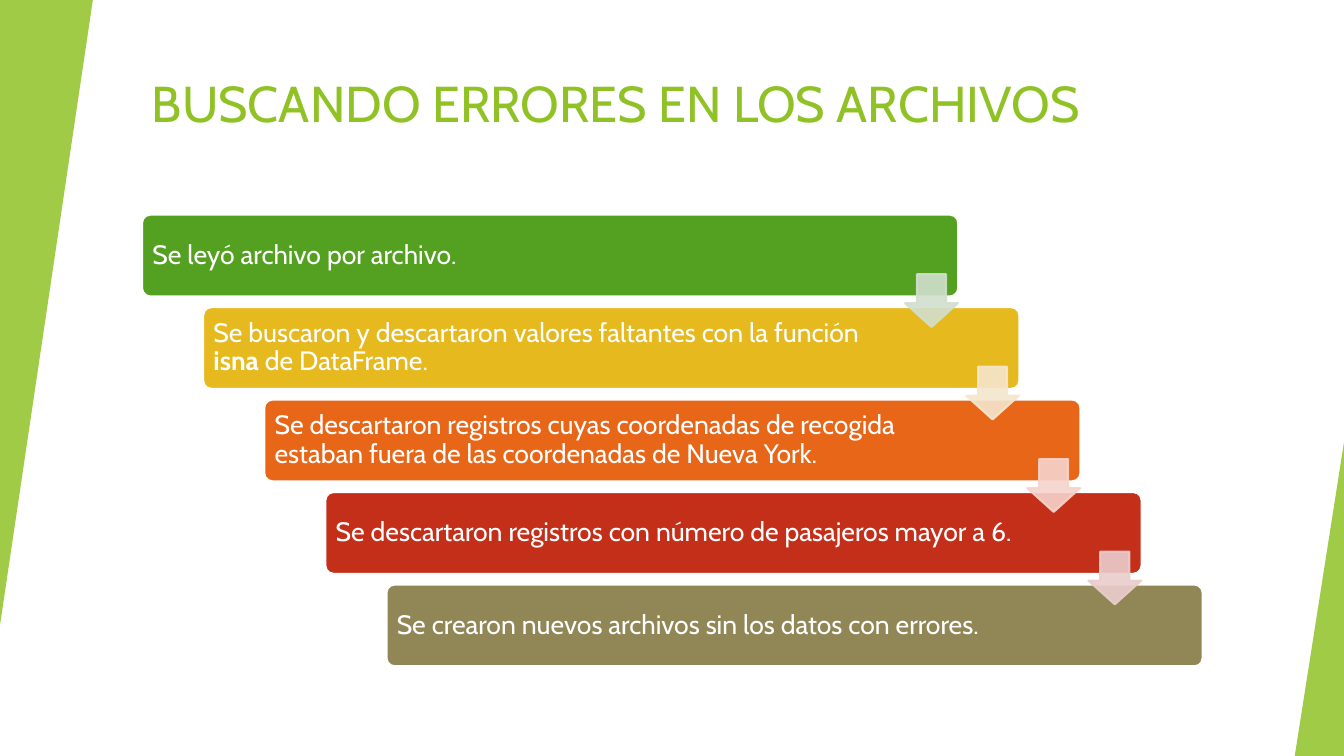
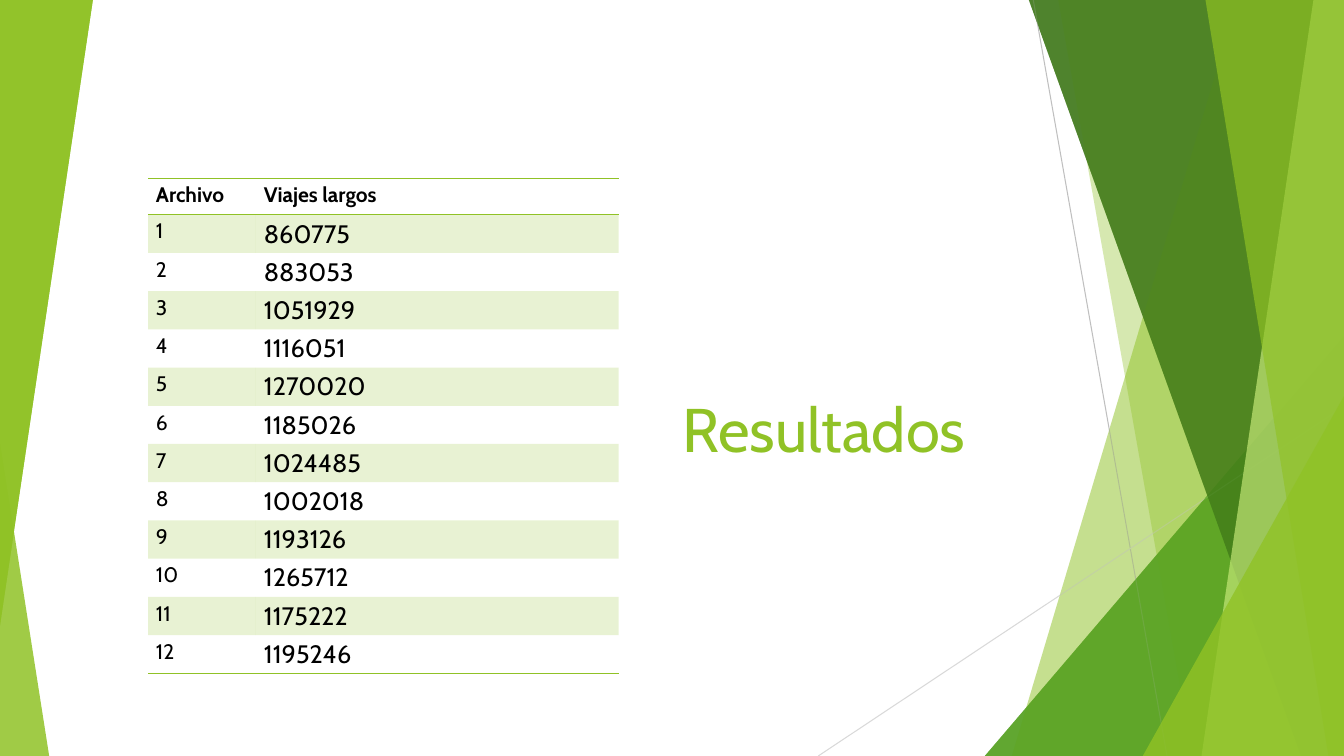
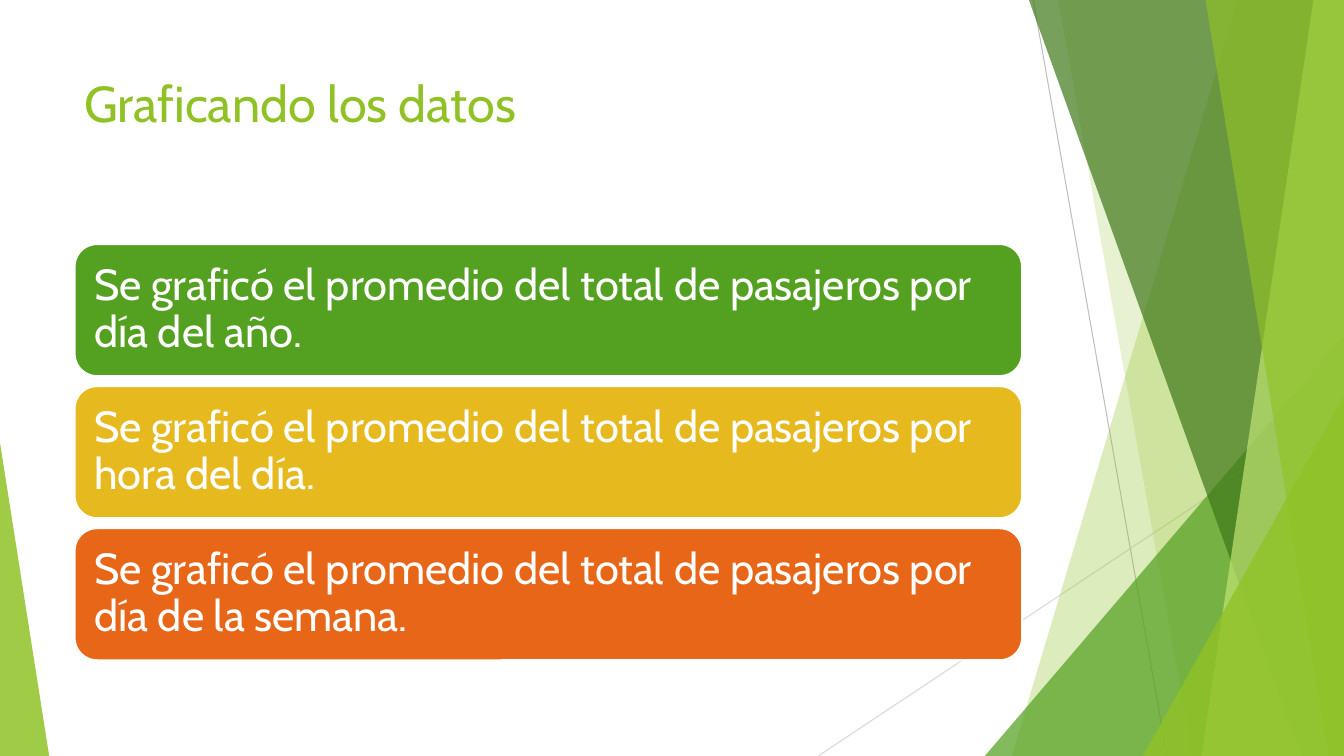
from dataclasses import dataclass

import lxml.etree
import pptx
import pptx.dml.color
import pptx.enum.shapes
import pptx.enum.text
import pptx.oxml.ns
import pptx.util

Cm = pptx.util.Cm
Pt = pptx.util.Pt
qn = pptx.oxml.ns.qn
SHAPE = pptx.enum.shapes.MSO_SHAPE
ANCHOR = pptx.enum.text.MSO_ANCHOR

WIDTH, HEIGHT = 33.87, 19.05
FONT = "Cabin"
LIME, GREEN, DARK, PALE = "90C226", "54A021", "3F7819", "C0E474"
GOLD, ORANGE, RED, OLIVE = "E6B91E", "E76618", "C42F1A", "918655"
WHITE, BLACK = "FFFFFF", "000000"
NO_TABLE_STYLE = "{2D5ABB26-0587-4C30-8999-92F81FD0307C}"


@dataclass
class Band:
    top_x: float
    bottom_x: float
    color: str
    alpha: int


@dataclass
class Wedge:
    left: float
    top: float
    width: float
    height: float
    apex: float
    color: str
    alpha: int
    rotation: int = 0


@dataclass
class Ray:
    x1: float
    y1: float
    x2: float
    y2: float
    color: str


@dataclass
class Card:
    text: str
    color: str


@dataclass
class CardStyle:
    left: float
    top: float
    width: float
    height: float
    step_x: float
    step_y: float
    radius: float
    size: float
    inset: float
    right_inset: float


RAYS = [
    Ray(26.04, 0, 29.41, HEIGHT, "BFBFBF"),
    Ray(WIDTH, 10.24, 20.62, HEIGHT, "D9D9D9"),
]
FACETS = [
    Band(31.19, 25.5, LIME, 30),
    Band(26.67, 30.05, LIME, 20),
    Wedge(24.82, 8.46, 9.05, 10.59, 1, GREEN, 72),
    Band(25.93, 32.79, DARK, 70),
    Band(33.1, 30.28, PALE, 70),
    Band(30.38, 33.48, LIME, 65),
    Wedge(28.8, 9.98, 5.07, 9.07, 1, LIME, 80),
]
LEFT_CORNER = Wedge(0, 11.15, 1.24, 7.9, 0, LIME, 85)
RIGHT_CORNER = Wedge(WIDTH - 1.24, 11.15, 1.24, 7.9, 1, LIME, 85)
LEFT_EDGE = Wedge(0, 0, 2.34, 15.75, 1, LIME, 85, 180)

STEP_STYLE = CardStyle(3.58, 5.41, 20.57, 2.06, 1.54, 2.33, 0.1, 19, 0.2, 3.07)
STEPS = [
    Card("Se leyó archivo por archivo.", GREEN),
    Card("Se buscaron y descartaron valores faltantes con la función *isna* de DataFrame.", GOLD),
    Card("Se descartaron registros cuyas coordenadas de recogida estaban fuera "
         "de las coordenadas de Nueva York.", ORANGE),
    Card("Se descartaron registros con número de pasajeros mayor a 6.", RED),
    Card("Se crearon nuevos archivos sin los datos con errores.", OLIVE),
]
ARROW_COLORS = ["D1DFCD", "F5E6CD", "F6D3CC", "EACDCD"]

CHART_STYLE = CardStyle(1.88, 6.15, 23.88, 3.33, 0, 3.58, 0.17, 31, 0.33, 0.33)
CHARTS = [
    Card(f"Se graficó el promedio del total de pasajeros por {period}.", color)
    for period, color in [("día del año", GREEN), ("hora del día", GOLD),
                          ("día de la semana", ORANGE)]
]
LONG_TRIPS = [860775, 883053, 1051929, 1116051, 1270020, 1185026,
              1024485, 1002018, 1193126, 1265712, 1175222, 1195246]


def rgb(color: str) -> pptx.dml.color.RGBColor:
    return pptx.dml.color.RGBColor.from_string(color)


def set_alpha(element, percent: int) -> None:
    for clr in element.iter(qn("a:srgbClr")):
        lxml.etree.SubElement(clr, qn("a:alpha")).set("val", str(percent * 1000))


def format_run(r, size: float, color: str, bold: bool = False) -> None:
    r.font.name = FONT
    r.font.size = Pt(size)
    r.font.bold = bold
    r.font.color.rgb = rgb(color)


def paint(sp, color: str, alpha: int = 100, line: str | None = None) -> None:
    sp.shadow.inherit = False
    sp.fill.solid()
    sp.fill.fore_color.rgb = rgb(color)
    if line:
        sp.line.color.rgb = rgb(line)
        sp.line.width = Pt(1.5)
    else:
        sp.line.fill.background()
    if alpha < 100:
        set_alpha(sp._element.spPr, alpha)


def draw_wedge(s, wedge: Wedge) -> None:
    sp = s.shapes.add_shape(SHAPE.ISOSCELES_TRIANGLE, Cm(wedge.left), Cm(wedge.top),
                            Cm(wedge.width), Cm(wedge.height))
    sp.adjustments[0] = wedge.apex
    sp.rotation = wedge.rotation
    paint(sp, wedge.color, wedge.alpha)


def draw_band(s, band: Band) -> None:
    builder = s.shapes.build_freeform(Cm(band.top_x), 0)
    corners = [(WIDTH, 0), (WIDTH, HEIGHT), (band.bottom_x, HEIGHT)]
    builder.add_line_segments([(Cm(x), Cm(y)) for x, y in corners])
    paint(builder.convert_to_shape(), band.color, band.alpha)


def draw_facets(s) -> None:
    for facet in FACETS:
        if isinstance(facet, Band):
            draw_band(s, facet)
        else:
            draw_wedge(s, facet)


def draw_rays(s) -> None:
    for ray in RAYS:
        line = s.shapes.add_connector(pptx.enum.shapes.MSO_CONNECTOR.STRAIGHT,
                                      Cm(ray.x1), Cm(ray.y1), Cm(ray.x2), Cm(ray.y2))
        line.line.color.rgb = rgb(ray.color)
        line.line.width = Pt(0.75)
        lxml.etree.SubElement(line._element.spPr, qn("a:effectLst"))


def draw_title(s, text: str, left: float, top: float, width: float, height: float,
               size: float = 36, anchor=ANCHOR.TOP) -> None:
    tf = s.shapes.add_textbox(Cm(left), Cm(top), Cm(width), Cm(height)).text_frame
    tf.word_wrap = True
    tf.vertical_anchor = anchor
    tf.text = text
    format_run(tf.paragraphs[0].runs[0], size, LIME)


def draw_cards(s, cards: list[Card], style: CardStyle) -> None:
    for i, card in enumerate(cards):
        sp = s.shapes.add_shape(SHAPE.ROUNDED_RECTANGLE,
                                Cm(style.left + i * style.step_x),
                                Cm(style.top + i * style.step_y),
                                Cm(style.width), Cm(style.height))
        sp.adjustments[0] = style.radius
        paint(sp, card.color, line=WHITE)
        tf = sp.text_frame
        tf.word_wrap = True
        tf.vertical_anchor = ANCHOR.MIDDLE
        tf.margin_left = tf.margin_top = tf.margin_bottom = Cm(style.inset)
        tf.margin_right = Cm(style.right_inset)
        p = tf.paragraphs[0]
        p.alignment = pptx.enum.text.PP_ALIGN.LEFT
        p.line_spacing = 0.9
        first, *others = card.text.split("*")
        p.text = first
        for part in others:
            p.add_run().text = part
        for j, r in enumerate(p.runs):
            format_run(r, style.size, WHITE, bold=j % 2 == 1)


def draw_arrows(s) -> None:
    for i, color in enumerate(ARROW_COLORS):
        sp = s.shapes.add_shape(SHAPE.DOWN_ARROW,
                                Cm(22.81 + i * STEP_STYLE.step_x),
                                Cm(6.91 + i * STEP_STYLE.step_y), Cm(1.33), Cm(1.33))
        sp.adjustments[0] = 0.55
        sp.adjustments[1] = 0.45
        paint(sp, color, 90, line=color)


def add_border(cell, side: str) -> None:
    ln = lxml.etree.Element(qn(f"a:ln{side}"), w=str(Pt(1)))
    fill = lxml.etree.SubElement(ln, qn("a:solidFill"))
    lxml.etree.SubElement(fill, qn("a:srgbClr"), val=LIME)
    cell._tc.get_or_add_tcPr().insert(0, ln)


def draw_results(s) -> None:
    rows = [("Archivo", "Viajes largos")]
    rows += [(str(i), str(trips)) for i, trips in enumerate(LONG_TRIPS, 1)]
    row_height = 0.91
    table = s.shapes.add_table(len(rows), 2, Cm(3.73), Cm(4.5), Cm(11.86),
                               Cm(row_height * len(rows))).table
    table._tbl.tblPr.find(qn("a:tableStyleId")).text = NO_TABLE_STYLE
    for column, width in zip(table.columns, (2.72, 9.14)):
        column.width = Cm(width)
    for i, row in enumerate(rows):
        table.rows[i].height = Cm(row_height)
        for j, text in enumerate(row):
            cell = table.cell(i, j)
            cell.margin_left = cell.margin_right = Cm(0.2)
            cell.margin_top = cell.margin_bottom = Cm(0.1)
            cell.text_frame.text = text
            format_run(cell.text_frame.paragraphs[0].runs[0],
                       18 if i and j else 15, BLACK, bold=i == 0)
            if i % 2:
                cell.fill.solid()
                cell.fill.fore_color.rgb = rgb(LIME)
                set_alpha(cell._tc.tcPr, 20)
            else:
                cell.fill.background()
            if i in (0, len(rows) - 1):
                add_border(cell, "B")
            if i == 0:
                add_border(cell, "T")


def build_errors(s) -> None:
    draw_title(s, "BUSCANDO ERRORES EN LOS ARCHIVOS", 3.58, 1.7, 28.32, 3.05)
    draw_wedge(s, LEFT_EDGE)
    draw_wedge(s, RIGHT_CORNER)
    draw_cards(s, STEPS, STEP_STYLE)
    draw_arrows(s)


def build_results(s) -> None:
    draw_facets(s)
    draw_wedge(s, LEFT_CORNER)
    draw_rays(s)
    draw_facets(s)
    for _ in range(2):
        draw_wedge(s, LEFT_EDGE)
    draw_title(s, "Resultados", 16.94, 3.51, 9.7, 8.33, 44, ANCHOR.BOTTOM)
    draw_results(s)


def build_charts(s) -> None:
    draw_rays(s)
    draw_facets(s)
    draw_wedge(s, LEFT_CORNER)
    draw_title(s, "Graficando los datos", 1.88, 1.7, 23.88, 3.66)
    draw_cards(s, CHARTS, CHART_STYLE)


def main() -> None:
    prs = pptx.Presentation()
    prs.slide_width, prs.slide_height = Cm(WIDTH), Cm(HEIGHT)
    for build in (build_errors, build_results, build_charts):
        build(prs.slides.add_slide(prs.slide_layouts[6]))
    prs.save("out.pptx")


if __name__ == "__main__":
    main()
